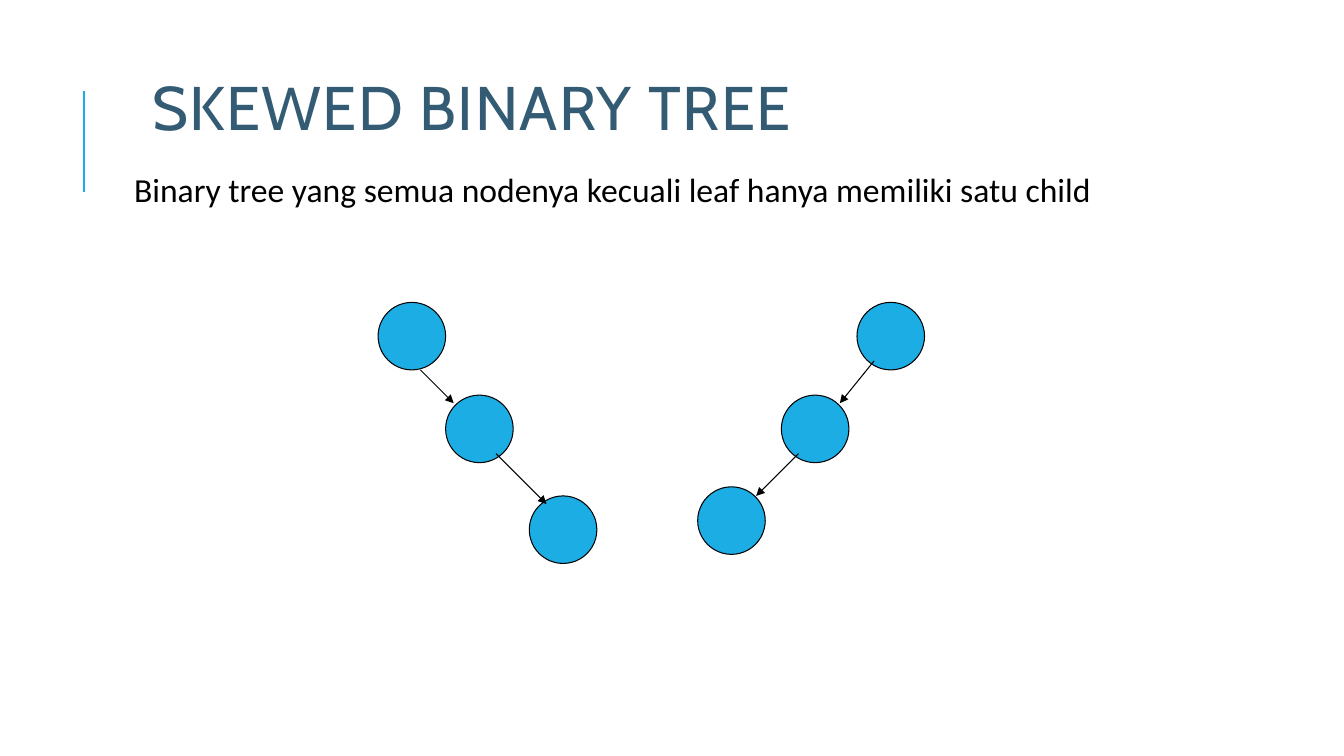
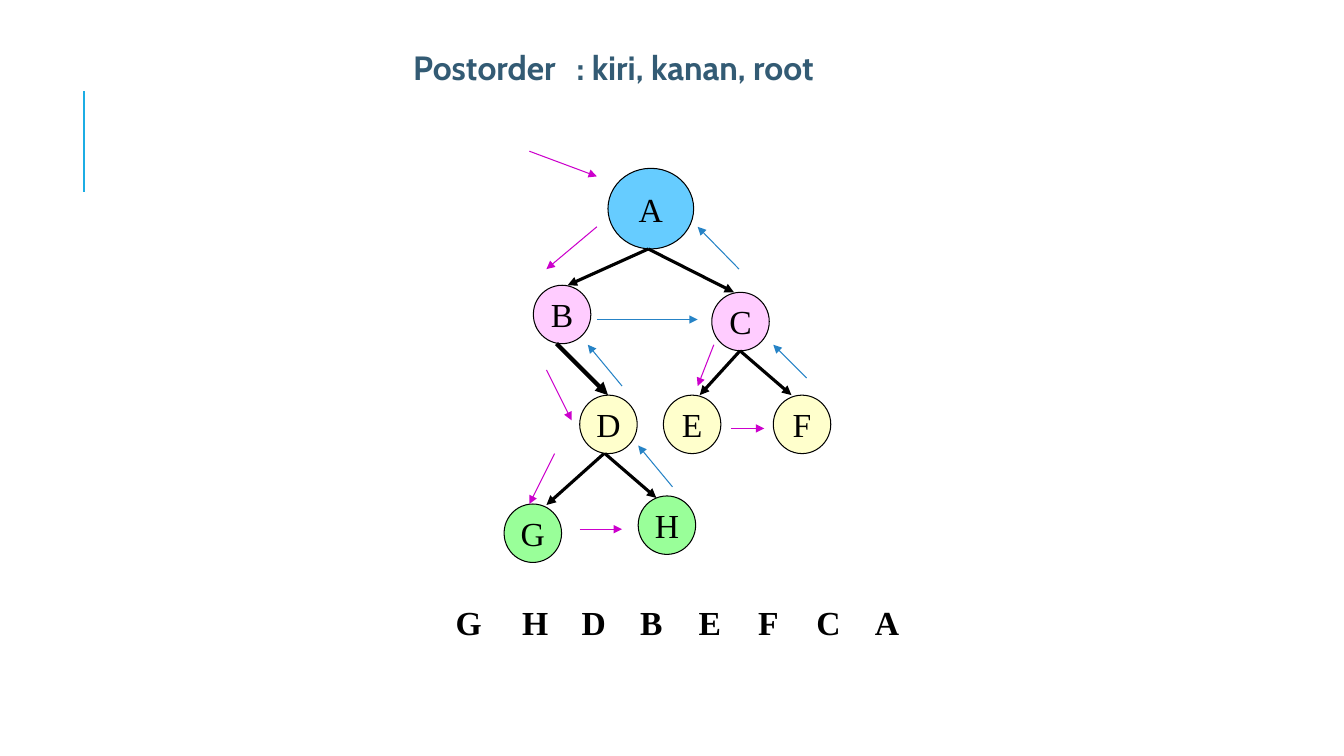
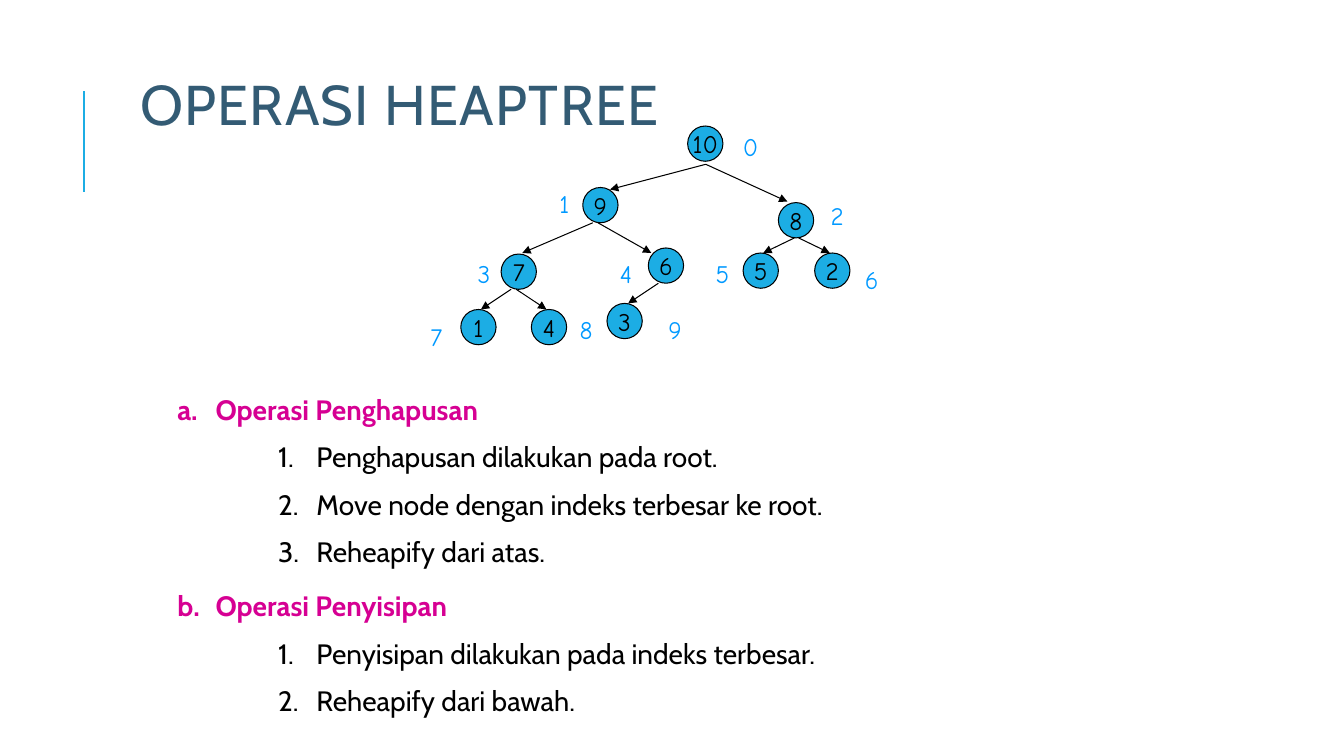
"""Build three slides about binary trees, traversal and heap operations."""
from lxml import etree
from pptx import Presentation
from pptx import util as u
from pptx.dml import color
from pptx.enum import shapes, text
from pptx.oxml import ns

PX = 9144
paint = color.RGBColor.from_string
BLACK, BLUE, NAVY, PURPLE, STEEL = "000000", "1CADE4", "335B74", "CC00CC", "2683C6"
PINK, YELLOW, GREEN, SKY = "FFCCFF", "FFFFCC", "99FF99", "66CCFF"

TITLE = {"name": "Cabin", "size": u.Pt(44), "bold": False}
SMALL_TITLE = {**TITLE, "size": u.Pt(40)}
HEADING = {"name": "Cabin", "size": u.Pt(24), "bold": True}
BODY = {"name": "Calibri", "size": u.Pt(24), "bold": False}
LETTER = {"name": "Times New Roman", "size": u.Pt(24), "bold": False}
DIGIT = {"name": "Comic Neue", "size": u.Pt(18), "bold": False}
TITLE_FRAME = {"vertical_anchor": text.MSO_ANCHOR.BOTTOM}
NODE_FRAME = {"vertical_anchor": text.MSO_ANCHOR.MIDDLE, "word_wrap": False}
NODE_PARA = {"alignment": text.PP_ALIGN.CENTER}


def write(box, words, font, ink, frame_format={}, para_format={}):
    """Append one styled paragraph to a box and return it."""
    frame = box.text_frame
    for name, value in {"word_wrap": True, **frame_format}.items():
        setattr(frame, name, value)
    para = frame.add_paragraph() if frame.text else frame.paragraphs[0]
    for name, value in para_format.items():
        setattr(para, name, value)
    span = para.add_run()
    span.text = words
    for name, value in font.items():
        setattr(span.font, name, value)
    span.font.color.rgb = paint(ink)
    return para


def draw_line(page, ends, ink, width, arrow=True):
    """Draw a straight line, with an arrowhead at its far end if asked."""
    line = page.shapes.add_connector(shapes.MSO_CONNECTOR.STRAIGHT, *[v * PX for v in ends])
    line.line.color.rgb = paint(ink)
    line.line.width = u.Pt(width)
    if arrow:
        etree.SubElement(line.line._get_or_add_ln(), ns.qn("a:tailEnd"), type="triangle")
    etree.SubElement(line._element.spPr, ns.qn("a:effectLst"))


deck = Presentation()
deck.slide_width, deck.slide_height = 1333 * PX, 750 * PX
pages = [deck.slides.add_slide(deck.slide_layouts[6]) for _ in range(3)]
skewed, postorder, heap = pages
for page in pages:
    draw_line(page, (83, 190, 83, 90), BLUE, 1.5, arrow=False)

titles = [
    (skewed, "SKEWED BINARY TREE", (141, 74, 820, 72), TITLE),
    (heap, "OPERASI HEAPTREE", (129, 80, 728, 60), SMALL_TITLE),
]
for page, words, place, font in titles:
    box = page.shapes.add_textbox(*[v * PX for v in place])
    para = write(box, words, font, NAVY, TITLE_FRAME, {"line_spacing": 0.8})
    para.runs[0].font._element.set("spc", "100")

box = skewed.shapes.add_textbox(128 * PX, 167 * PX, 1060 * PX, 46 * PX)
margins = {f"margin_{side}": 5 * PX for side in ("left", "top", "right", "bottom")}
write(box, "Binary tree yang semua nodenya kecuali leaf hanya memiliki satu child",
      BODY, BLACK, margins, {"line_spacing": 0.9})

box = postorder.shapes.add_textbox(400 * PX, 42 * PX, 542 * PX, 50 * PX)
para = write(box, "Postorder\t: kiri, kanan, root", HEADING, NAVY)
stops = etree.SubElement(para._p.get_or_add_pPr(), ns.qn("a:tabLst"))
etree.SubElement(stops, ns.qn("a:tab"), pos=str(162 * PX), algn="l")

skewed_nodes = [("", x, y, BLUE) for x, y in (
    (375, 300), (442, 392), (525, 492), (850, 300), (775, 392), (692, 483))]
postorder_nodes = [
    ("B", 529, 283, PINK), ("C", 706, 290, PINK),
    ("D", 575, 392, YELLOW), ("E", 658, 392, YELLOW), ("F", 767, 392, YELLOW),
    ("G", 500, 500, GREEN), ("H", 633, 492, GREEN),
]
heap_nodes = [(key, x, y, BLUE) for key, x, y in (
    ("10", 682, 125), ("9", 578, 186), ("8", 772, 201), ("7", 497, 252), ("6", 643, 246),
    ("5", 737, 251), ("2", 808, 251), ("1", 457, 307), ("4", 527, 307), ("3", 602, 301))]
node_groups = [
    (skewed, skewed_nodes, 67, 67, LETTER),
    (postorder, [("A", 603, 167, SKY)], 85, 80, LETTER),
    (postorder, postorder_nodes, 57, 58, LETTER),
    (heap, heap_nodes, 35, 35, DIGIT),
]
for page, nodes, width, height, font in node_groups:
    for key, x, y, fill in nodes:
        node = page.shapes.add_shape(shapes.MSO_SHAPE.OVAL, x * PX, y * PX, width * PX, height * PX)
        node.shadow.inherit = False
        node.fill.solid()
        node.fill.fore_color.rgb = paint(fill)
        node.line.color.rgb = paint(BLACK)
        node.line.width = u.Pt(0.75)
        if key:
            write(node, key, font, BLACK, NODE_FRAME, NODE_PARA)

arrow_groups = [
    (skewed, BLACK, 0.75, [
        (417, 367, 450, 400), (492, 450, 542, 500),
        (867, 358, 833, 400), (792, 450, 750, 492)]),
    (postorder, BLACK, 2.25, [
        (643, 247, 563, 283), (643, 247, 728, 290), (599, 450, 542, 501),
        (734, 348, 694, 392), (734, 348, 785, 392), (600, 450, 651, 494)]),
    (postorder, BLACK, 3, [(552, 341, 603, 392)]),
    (postorder, PURPLE, 0.75, [
        (525, 150, 592, 175), (592, 225, 542, 267), (542, 367, 567, 417), (550, 450, 525, 500),
        (575, 525, 617, 525), (708, 342, 692, 383), (725, 425, 758, 425)]),
    (postorder, STEEL, 0.75, [
        (667, 483, 633, 442), (617, 383, 583, 342), (592, 317, 692, 317),
        (800, 375, 767, 342), (733, 267, 692, 225)]),
    (heap, BLACK, 0.75, [
        (700, 163, 605, 188), (700, 163, 781, 200), (588, 221, 518, 251),
        (593, 221, 646, 251), (788, 236, 757, 251), (792, 236, 823, 251),
        (507, 287, 477, 307), (512, 287, 542, 307), (653, 281, 623, 301)]),
]
for page, ink, width, arrows in arrow_groups:
    for ends in arrows:
        draw_line(page, ends, ink, width)

visit_lefts = (442, 508, 567, 625, 683, 742, 800, 858)
for key, x in zip("GHDBEFCA", visit_lefts):
    box = postorder.shapes.add_textbox(x * PX, 592 * PX, 50 * PX, 50 * PX)
    write(box, key, {**LETTER, "bold": True}, BLACK)

index_places = [(727, 125), (545, 182), (814, 194), (464, 251), (605, 251),
                (700, 251), (848, 257), (417, 314), (565, 307), (653, 307)]
for index, (x, y) in enumerate(index_places):
    box = heap.shapes.add_textbox(x * PX, y * PX, 27 * PX, 40 * PX)
    write(box, str(index), DIGIT, "0099FF")

operations = [
    (384, 195, "Operasi Penghapusan", [
        "Penghapusan dilakukan pada root.",
        "Move node dengan indeks terbesar ke root.",
        "Reheapify dari atas."]),
    (579, 145, "Operasi Penyisipan", [
        "Penyisipan dilakukan pada indeks terbesar.",
        "Reheapify dari bawah."]),
]
for number, (top, height, heading, steps) in enumerate(operations, 1):
    box = heap.shapes.add_textbox(166 * PX, top * PX, 949 * PX, height * PX)
    for order, words in enumerate([heading, *steps]):
        level = min(order, 1)
        font = {"name": "Cabin", "size": u.Pt(20), "bold": level == 0}
        para = write(box, words, font, BLACK if level else "D60093", {},
                     {"level": level, "space_before": u.Pt(10 * level)})
        properties = para._p.get_or_add_pPr()
        properties.set("marL", str((38 + 100 * level) * PX))
        properties.set("indent", str(-38 * PX))
        bullet = etree.SubElement(properties, ns.qn("a:buAutoNum"))
        bullet.set("type", "arabicPeriod" if level else "alphaLcPeriod")
        if not level:
            bullet.set("startAt", str(number))

deck.save("out.pptx")
